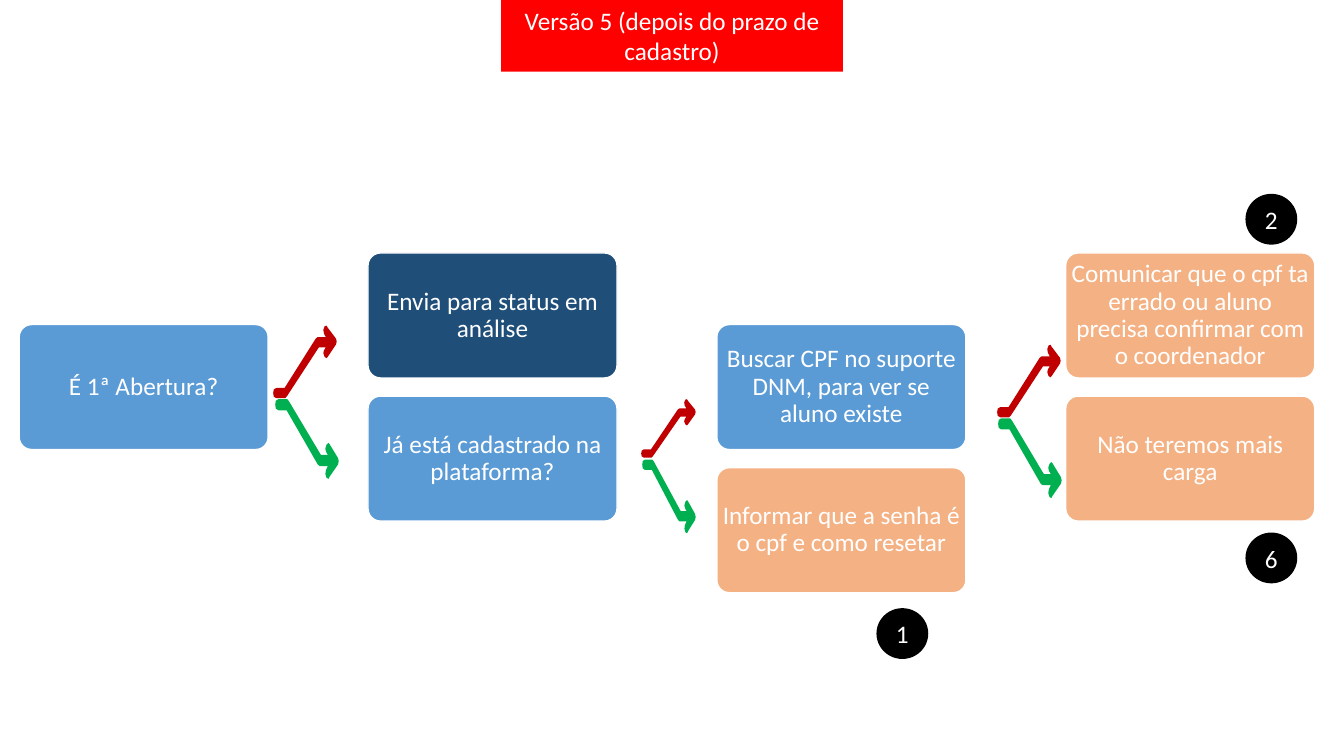
from pptx import Presentation
from pptx.dml.color import RGBColor
from pptx.enum.shapes import MSO_SHAPE
from pptx.enum.text import MSO_ANCHOR, PP_ALIGN
from pptx.util import Inches, Pt

BLUE, NAVY, PEACH = "5B9BD5", "1F4E79", "F4B183"
RED, GREEN, BLACK, WHITE = "C00000", "00B050", "000000", "FFFFFF"

# Step: column, row (half-box steps), fill, text
STEPS = [
    (0, 1, BLUE, "É 1ª Abertura?"),
    (1, 0, NAVY, "Envia para status em análise"),
    (1, 2, BLUE, "Já está cadastrado na plataforma?"),
    (2, 1, BLUE, "Buscar CPF no suporte DNM, para ver se aluno existe"),
    (3, 0, PEACH, "Comunicar que o cpf ta errado ou aluno precisa confirmar com o coordenador"),
    (3, 2, PEACH, "Não teremos mais carga"),
    (2, 3, PEACH, "Informar que a senha é o cpf e como resetar"),
]
LEFT, TOP, COL, ROW = 0.19, 2.51, 3.46, 0.71
BOX_W, BOX_H = 2.47, 1.24

BANNER = "Versão 5 (depois do prazo de cadastro)"
BADGES = [("1", 8.7, 6.04), ("2", 12.36, 1.93), ("6", 12.36, 5.29)]

# Arrow: left, top, width, height, colour, whether it points up
ARROWS = [
    (2.73, 3.96, 0.63, 0.79, GREEN, False), (2.71, 3.23, 0.63, 0.72, RED, True),
    (6.37, 4.56, 0.53, 0.73, GREEN, False), (6.36, 3.96, 0.54, 0.58, RED, True),
    (9.9, 4.15, 0.63, 0.79, GREEN, False), (9.89, 3.42, 0.63, 0.72, RED, True),
]
# Outline of the downward arrow, as shares of its width and height
ARROW_OUTLINE = [
    (.86, .57), (.84, .55), (.81, .57), (.79, .62), (.8, .66), (.83, .7),
    (.72, .7), (.22, .03), (.19, 0), (.05, 0), (.01, .02), (0, .07),
    (.01, .12), (.05, .14), (.18, .14), (.67, .82), (.7, .84), (.83, .84),
    (.8, .89), (.79, .94), (.81, .99), (.84, 1), (.86, .97), (.99, .82),
    (1, .78), (.99, .74),
]


def rgb(hex_code):
    """Turn a hex string into a colour."""
    return RGBColor.from_string(hex_code)


def paint(sp, fill, line=None):
    """Set fill and outline, and drop the shadow."""
    sp.shadow.inherit = False
    sp.fill.solid()
    sp.fill.fore_color.rgb = rgb(fill)
    if line:
        sp.line.color.rgb = rgb(line)
        sp.line.width = Pt(1)
    else:
        sp.line.fill.background()


def add_label(s, kind, box, fill, text, line=None, inset=None, spacing=None):
    """Add a preset shape with centred white text."""
    sp = s.shapes.add_shape(kind, *map(Inches, box))
    paint(sp, fill, line)
    tf = sp.text_frame
    tf.text = text
    tf.word_wrap = True
    tf.vertical_anchor = MSO_ANCHOR.MIDDLE
    if inset is not None:
        tf.margin_left = tf.margin_right = Inches(inset)
        tf.margin_top = tf.margin_bottom = Inches(inset)
    p = tf.paragraphs[0]
    p.alignment = PP_ALIGN.CENTER
    p.line_spacing = spacing
    font = p.runs[0].font
    font.name, font.size = "Calibri", Pt(18)
    font.color.rgb = rgb(WHITE)
    return sp


def add_arrow(s, left, top, width, height, fill, up):
    """Draw the bent arrow, flipped vertically when it points up."""
    points = [(Inches(left + x * width), Inches(top + (1 - y if up else y) * height))
              for x, y in ARROW_OUTLINE]
    builder = s.shapes.build_freeform(*points[0])
    builder.add_line_segments(points[1:], close=True)
    paint(builder.convert_to_shape(), fill)


prs = Presentation()
prs.slide_width, prs.slide_height = Inches(13.33), Inches(7.5)
s = prs.slides.add_slide(prs.slide_layouts[6])

for col, row, fill, text in STEPS:
    box = (LEFT + col * COL, TOP + row * ROW, BOX_W, BOX_H)
    sp = add_label(s, MSO_SHAPE.ROUNDED_RECTANGLE, box, fill, text, WHITE, 0.01, 0.9)
    sp.adjustments[0] = 0.1

add_label(s, MSO_SHAPE.RECTANGLE, (4.97, 0, 3.39, 0.71), "FF0000", BANNER)

for arrow in ARROWS:
    add_arrow(s, *arrow)

for number, left, top in BADGES:
    add_label(s, MSO_SHAPE.OVAL, (left, top, 0.5, 0.49), BLACK, number, BLACK)

prs.save("out.pptx")
